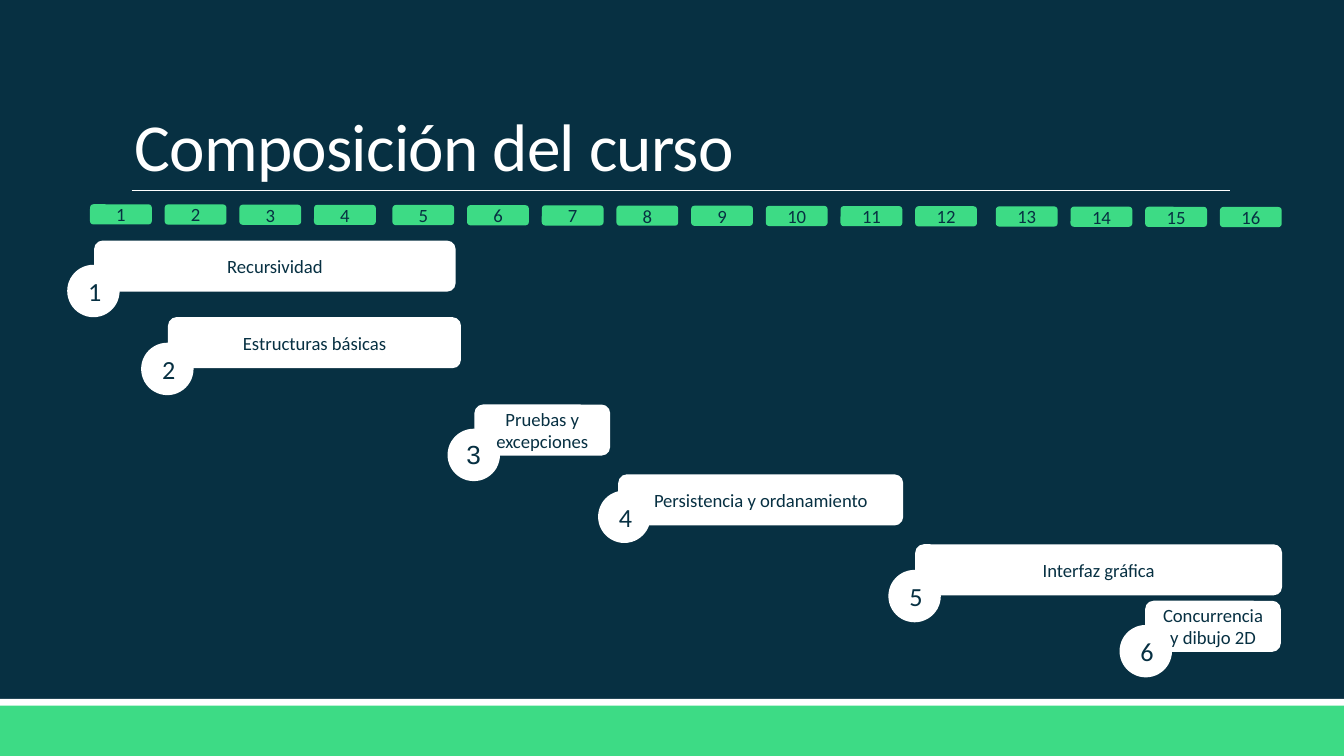
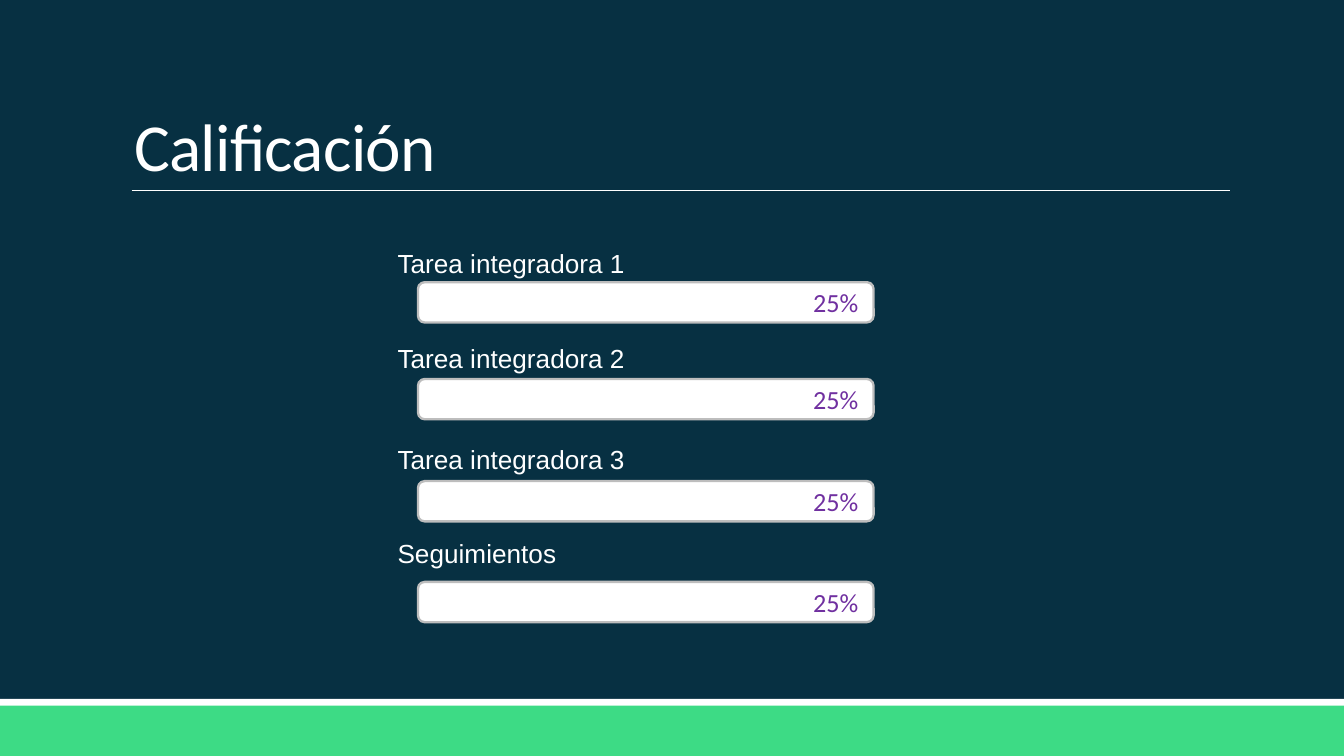
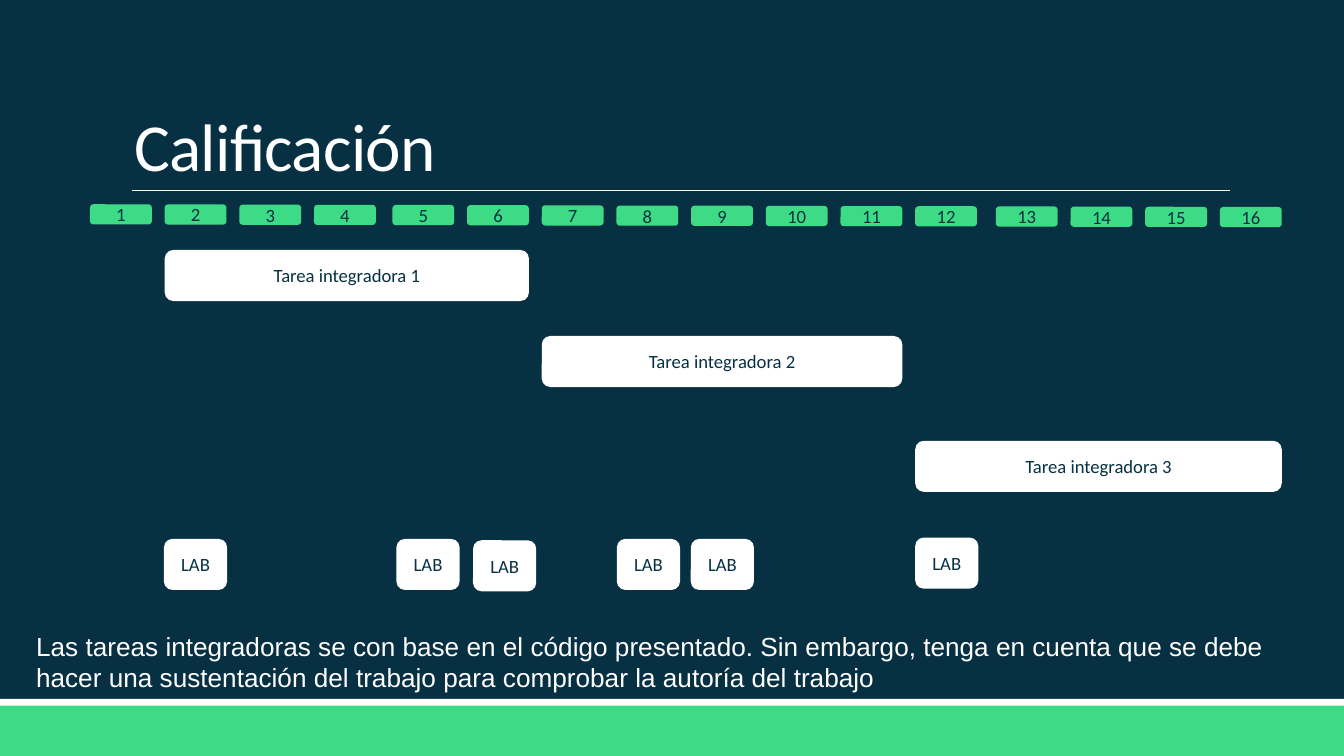
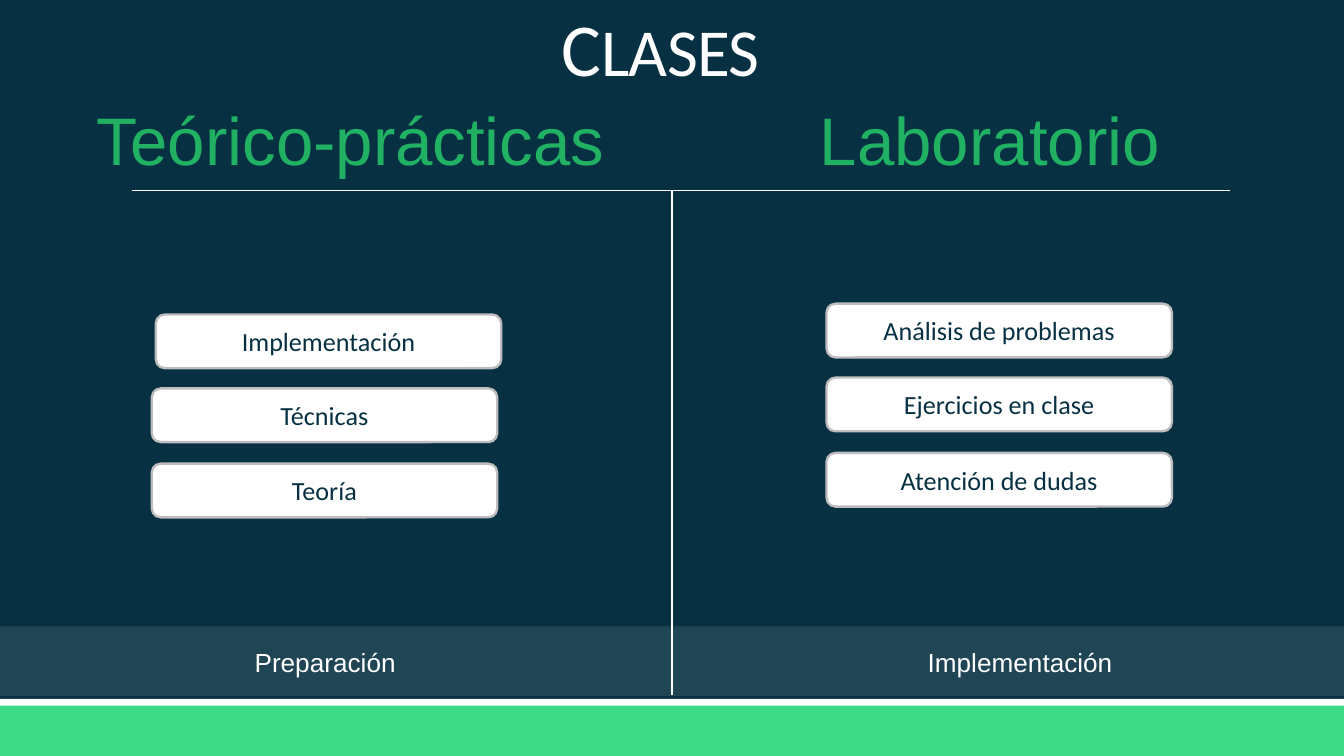
from dataclasses import dataclass

from pptx import Presentation
from pptx.dml.color import RGBColor
from pptx.enum.shapes import MSO_CONNECTOR, MSO_SHAPE
from pptx.enum.text import MSO_ANCHOR, MSO_AUTO_SIZE, PP_ALIGN
from pptx.oxml.ns import qn
from pptx.util import Inches, Pt
from lxml.etree import SubElement


@dataclass(frozen=True)
class Theme:
    navy: str = "073042"
    green: str = "3DDB85"
    dark_green: str = "21B163"
    white: str = "FFFFFF"
    grey: str = "BDBDBD"
    purple: str = "7030A0"
    heading_font: str = "Calibri"
    body_font: str = "Arial"
    initial: int = 40
    title: int = 36
    body: int = 14
    small: int = 10


T = Theme()
ROUND, OVAL, RECT = MSO_SHAPE.ROUNDED_RECTANGLE, MSO_SHAPE.OVAL, MSO_SHAPE.RECTANGLE
LEFT, CENTER, RIGHT = PP_ALIGN.LEFT, PP_ALIGN.CENTER, PP_ALIGN.RIGHT

# 16:9 slide
SLIDE_W = 10
SLIDE_H = SLIDE_W * 9 / 16

# Week scale: three runs of chips at one pitch
WEEK_STARTS = {1: 0.67, 5: 2.92, 13: 7.41}
WEEK_PITCH = (6.81 - 2.92) / 7
WEEK_W = 0.46
BAR_H = 0.38


def rgb(color):
    return RGBColor.from_string(color)


def inches(*values):
    return [Inches(v) for v in values]


def write(tf, text, size=T.body, font=T.heading_font, color=T.navy, align=CENTER,
          anchor=MSO_ANCHOR.MIDDLE, spacing=None, tracking=None):
    """Fill a text frame; text is a string or a list of (string, size) runs."""
    tf.word_wrap = True
    tf.vertical_anchor = anchor
    p = tf.paragraphs[0]
    p.alignment = align
    if spacing:
        p.line_spacing = spacing
    for part, part_size in [(text, size)] if isinstance(text, str) else text:
        r = p.add_run()
        r.text = part
        r.font.size = Pt(part_size)
        r.font.name = font
        r.font.color.rgb = rgb(color)
        if tracking:
            r.font._element.set("spc", str(round(tracking * 100)))


def add_box(s, kind, box, fill=T.white, line=None, alpha=None, text=None, **fmt):
    sp = s.shapes.add_shape(kind, *inches(*box))
    sp.shadow.inherit = False
    sp.fill.solid()
    sp.fill.fore_color.rgb = rgb(fill)
    if alpha is not None:
        clr = sp.element.spPr.find(qn("a:solidFill"))[0]
        SubElement(clr, qn("a:alpha")).set("val", str(alpha * 1000))
    if line:
        sp.line.color.rgb = rgb(line)
        sp.line.width = Pt(1.25)
    else:
        sp.line.fill.background()
    if text:
        write(sp.text_frame, text, **fmt)
    return sp


def add_label(s, box, text, color=T.white, align=LEFT, **fmt):
    tf = s.shapes.add_textbox(*inches(*box)).text_frame
    write(tf, text, font=T.body_font, color=color, align=align,
          anchor=MSO_ANCHOR.TOP, **fmt)
    tf.auto_size = MSO_AUTO_SIZE.SHAPE_TO_FIT_TEXT


def add_rule(s, x1, y1, x2, y2, width):
    line = s.shapes.add_connector(MSO_CONNECTOR.STRAIGHT, *inches(x1, y1, x2, y2))
    line.line.color.rgb = rgb(T.white)
    line.line.width = Pt(width)
    SubElement(line.element.spPr, qn("a:effectLst"))
    return line


def set_box(shape, box):
    shape.left, shape.top, shape.width, shape.height = inches(*box)


def style_layout(layout, s):
    """Put background, bands and title rule on the layout, drawing them through s."""
    layout.background.fill.solid()
    layout.background.fill.fore_color.rgb = rgb(T.navy)
    parts = [
        add_box(s, RECT, (0, SLIDE_H - 0.38, SLIDE_W, 0.38), T.green),
        add_box(s, RECT, (0, 5.2, SLIDE_W, 0.05)),
        add_rule(s, 0.98, 1.42, 9.15, 1.42, 0.5),
    ]
    for part in parts:
        layout.shapes.element.append(part.element)


def add_title(s, text, box=(0.9, 0.24, 8.25, 1.19), align=LEFT):
    title = s.shapes.title
    set_box(title, box)
    write(title.text_frame, text, size=T.title, color=T.white, align=align,
          anchor=MSO_ANCHOR.BOTTOM, spacing=0.85, tracking=-0.4)
    title.text_frame.auto_size = MSO_AUTO_SIZE.NONE


def week_left(week):
    first = max(w for w in WEEK_STARTS if w <= week)
    return WEEK_STARTS[first] + (week - first) * WEEK_PITCH


def add_weeks(s, top=1.52, drop=0.02):
    for week in range(1, 17):
        box = (week_left(week), top + drop * (week - 1) / 15, WEEK_W, 0.15)
        add_box(s, ROUND, box, T.green, text=str(week), size=T.small)


def add_bar(s, x, y, w, text):
    add_box(s, ROUND, (x, y, w, BAR_H), text=text, size=T.small)


def add_unit(s, number, name, x, y, w, badge_x, badge_y):
    """A course unit: a bar with a numbered badge at its lower left corner."""
    badge = (badge_x, badge_y, 0.39, 0.39)
    if number == 3:  # the bar's text runs over this badge
        add_box(s, OVAL, badge)
        add_bar(s, x, y, w, name)
        add_label(s, (badge_x + 0.04, badge_y + 0.02, 0.31, 0.34), str(number),
                  color=T.navy, align=CENTER)
    else:
        add_bar(s, x, y, w, name)
        add_box(s, OVAL, badge, text=str(number))


def course_slide(s):
    add_title(s, "Composición del curso")
    add_weeks(s)
    units = [
        ("Recursividad", 0.7, 1.79, 2.69, 0.5, 1.97),
        ("Estructuras básicas", 1.25, 2.36, 2.18, 1.05, 2.55),
        ("Pruebas y excepciones", 3.53, 3.01, 1.01, 3.33, 3.19),
        ("Persistencia y ordanamiento", 4.6, 3.53, 2.12, 4.45, 3.65),
        ("Interfaz gráfica", 6.81, 4.05, 2.73, 6.61, 4.24),
        ("Concurrencia y dibujo 2D", 8.52, 4.47, 1.01, 8.33, 4.65),
    ]
    for number, unit in enumerate(units, 1):
        add_unit(s, number, *unit)


def grading_slide(s):
    add_title(s, "Calificación")
    grades = [
        ("Tarea integradora 1", 1.79, 2.1),
        ("Tarea integradora 2", 2.5, 2.82),
        ("Tarea integradora 3", 3.25, 3.58),
        ("Seguimientos", 3.95, 4.33),
    ]
    for name, label_y, bar_y in grades:
        add_label(s, (2.86, label_y, 2.53, 0.34), name)
        add_box(s, ROUND, (3.11, bar_y, 3.39, 0.3), line=T.grey, text="25%",
                color=T.purple, align=RIGHT)


def schedule_slide(s):
    add_title(s, "Calificación")
    add_weeks(s)
    # Assignments span from one week to another
    spans = [(2, 6, 1.86), (7, 11, 2.5), (12, 16, 3.28)]
    for number, (first, last, y) in enumerate(spans, 1):
        x = week_left(first)
        add_bar(s, x, y, week_left(last) + WEEK_W - x, f"Tarea integradora {number}")
    # Labs
    for x, y in [(1.22, 4.01), (2.95, 4.01), (3.52, 4.02),
                 (4.59, 4.01), (5.14, 4.01), (6.81, 4)]:
        add_bar(s, x, y, 0.47, "LAB")
    add_label(s, (0.17, 4.64, 9.55, 0.57),
              "Las tareas integradoras se con base en el código presentado. "
              "Sin embargo, tenga en cuenta que se debe hacer una sustentación "
              "del trabajo para comprobar la autoría del trabajo")


def class_column(s, heading, heading_box, footer, footer_x, cards):
    add_label(s, heading_box, heading, color=T.dark_green, align=CENTER, size=T.title)
    for text, x, y in cards:
        add_box(s, ROUND, (x, y, 2.57, 0.4), line=T.grey, text=text)
    add_label(s, (footer_x, 4.76, 2.42, 0.34), footer, align=CENTER)


def classes_slide(s):
    add_box(s, RECT, (0, 4.66, SLIDE_W, 0.52), alpha=10)
    add_title(s, [("C", T.initial), ("LASES", T.title)], (0.34, 0.06, 9.15, 0.67), CENTER)
    class_column(s, "Teórico-prácticas", (0.48, 0.68, 4.26, 0.71), "Preparación", 1.21,
                 [("Implementación", 1.16, 2.34), ("Técnicas", 1.13, 2.89),
                  ("Teoría", 1.13, 3.45)])
    class_column(s, "Laboratorio", (5.71, 0.68, 3.31, 0.71), "Implementación", 6.38,
                 [("Análisis de problemas", 6.15, 2.26), ("Ejercicios en clase", 6.15, 2.81),
                  ("Atención de dudas", 6.15, 3.37)])
    add_rule(s, 5, 1.42, 5, 5.17, 1)


def main():
    prs = Presentation()
    prs.slide_width, prs.slide_height = inches(SLIDE_W, SLIDE_H)
    layout = prs.slide_layouts[5]
    builders = [course_slide, grading_slide, schedule_slide, classes_slide]
    slides = [prs.slides.add_slide(layout) for _ in builders]
    style_layout(layout, slides[0])
    for build, s in zip(builders, slides):
        build(s)
    prs.save("out.pptx")


if __name__ == "__main__":
    main()
